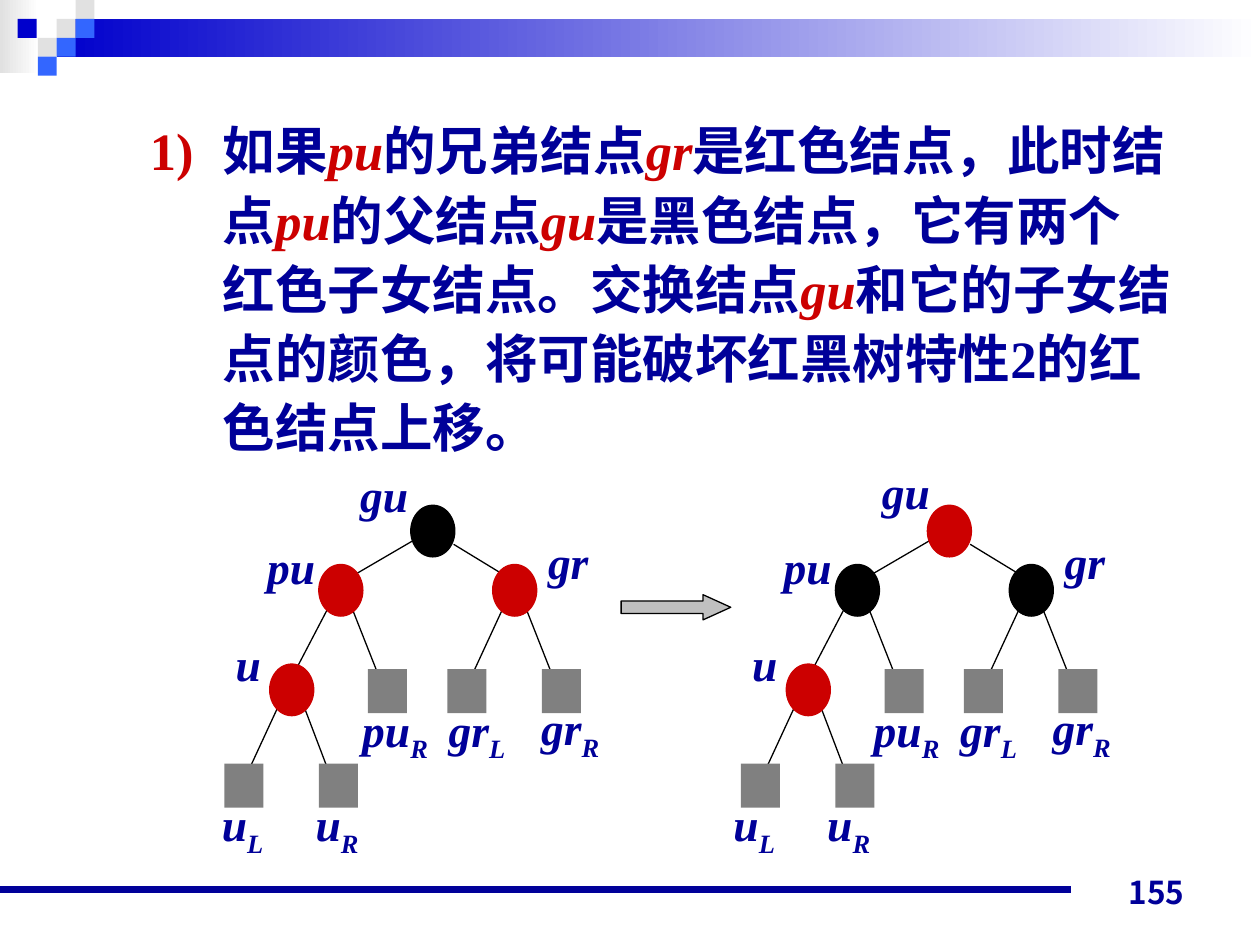
from lxml import etree
from pptx import Presentation
from pptx.dml.color import RGBColor
from pptx.enum.shapes import MSO_CONNECTOR, MSO_SHAPE
from pptx.enum.text import MSO_ANCHOR, PP_ALIGN
from pptx.oxml.ns import qn
from pptx.util import Pt

PX = 9144  # one px is a hundredth of an inch

NAVY = RGBColor(0x00, 0x00, 0x99)
BLUE = RGBColor(0x00, 0x00, 0xCC)
SKY = RGBColor(0x33, 0x66, 0xFF)
PALE = RGBColor(0xE1, 0xE1, 0xE1)
RED = RGBColor(0xCC, 0x00, 0x00)
BLACK = RGBColor(0x00, 0x00, 0x00)
WHITE = RGBColor(0xFF, 0xFF, 0xFF)
GRAY = RGBColor(0x80, 0x80, 0x80)
SILVER = RGBColor(0xC0, 0xC0, 0xC0)

SERIF = "Times New Roman"
SANS = "Noto Sans CJK JP"

RULE_TEXT = [
    ("1)\t", RED, False),
    ("如果", NAVY, False),
    ("pu", RED, True),
    ("的兄弟结点", NAVY, False),
    ("gr", RED, True),
    ("是红色结点，此时结点", NAVY, False),
    ("pu", RED, True),
    ("的父结点", NAVY, False),
    ("gu", RED, True),
    ("是黑色结点，它有两个红色子女结点。交换结点", NAVY, False),
    ("gu", RED, True),
    ("和它的子女结点的颜色，将可能破坏红黑树特性2的红色结点上移。", NAVY, False),
]

# Tree parts, relative to the corner of the tree
NODES = {"gu": (169, 38), "pu": (96, 85), "gr": (234, 85), "u": (57, 164)}
LEAVES = [(273, 168), (198, 168), (135, 168), (96, 243), (21, 243)]
EDGES = [
    (111, 105, 76, 172), (115, 101, 143, 172),
    (249, 105, 218, 172), (253, 101, 281, 172),
    (171, 66, 111, 101), (203, 69, 249, 97),
    (72, 180, 41, 247), (76, 176, 103, 247),
]
NODE_LABELS = {"pu": (45, 60, 58), "gu": (119, 3, 58), "u": (20, 137, 40), "gr": (268, 56, 52)}
LEAF_LABELS = [
    ("u", "L", 0, 264, 71), ("u", "R", 75, 264, 71),
    ("pu", "R", 115, 189, 83), ("gr", "L", 186, 189, 71), ("gr", "R", 260, 188, 71),
]


def add_block(page, kind, left, top, width, height, color=None, outline=None):
    block = page.shapes.add_shape(kind, left * PX, top * PX, width * PX, height * PX)
    block.shadow.inherit = False
    if color is not None:
        block.fill.solid()
        block.fill.fore_color.rgb = color
    if outline is None:
        block.line.fill.background()
    else:
        block.line.color.rgb = outline
        block.line.width = Pt(0.75)
    return block


def add_fade(page, left, top, width, height, color):
    """Add a bar that fades from color to white, left to right."""
    bar = add_block(page, MSO_SHAPE.RECTANGLE, left, top, width, height)
    bar.fill.gradient()
    bar.fill.gradient_angle = 0
    for stop, shade in zip(bar.fill.gradient_stops, (color, WHITE)):
        stop.color.rgb = shade


def add_line(page, x1, y1, x2, y2, color, weight):
    line = page.shapes.add_connector(MSO_CONNECTOR.STRAIGHT, x1 * PX, y1 * PX, x2 * PX, y2 * PX)
    line.line.color.rgb = color
    line.line.width = Pt(weight)
    etree.SubElement(line._element.spPr, qn("a:effectLst"))


def add_text_box(page, left, top, width, height, wrap=True):
    box = page.shapes.add_textbox(left * PX, top * PX, width * PX, height * PX)
    box.text_frame.word_wrap = wrap
    return box.text_frame


def add_span(para, text, size, color, italic=False, font=SERIF):
    span = para.add_run()
    span.text = text
    span.font.size = Pt(size)
    span.font.name = font
    span.font.bold = True
    span.font.italic = italic
    span.font.color.rgb = color
    east_asian = etree.SubElement(span.font._element, qn("a:ea"))
    east_asian.set("typeface", SANS)
    return span


def add_label(page, left, top, width, name, side=None):
    """Add a node name, with a subscript side for a leaf."""
    height = 60 if side else 54
    para = add_text_box(page, left, top, width, height, wrap=bool(side)).paragraphs[0]
    para.alignment = PP_ALIGN.CENTER
    add_span(para, name, 26, NAVY, italic=True)
    if side:
        subscript = add_span(para, side, 26, NAVY, italic=True)
        subscript.font._element.set("baseline", "-25000")


def add_header(page, left, top):
    add_fade(page, left, top, 31, 58, PALE)
    add_fade(page, left + 45, top + 15, 955, 30, BLUE)
    squares = [
        (45, 15, PALE), (60, 0, PALE), (60, 15, SKY), (30, 30, PALE),
        (14, 15, BLUE), (45, 30, SKY), (30, 45, SKY),
    ]
    for x, y, color in squares:
        add_block(page, MSO_SHAPE.RECTANGLE, left + x, top + y, 15, 15, color)


def add_footer(page, left, top):
    add_line(page, left, top + 28, left + 850, top + 28, NAVY, 4.5)
    frame = add_text_box(page, left + 717, top, 233, 50)
    frame.vertical_anchor = MSO_ANCHOR.BOTTOM
    para = frame.paragraphs[0]
    para.alignment = PP_ALIGN.RIGHT
    add_span(para, "155", 18, NAVY, font=SANS)


def add_rule(page, left, top, width, height):
    """Add the numbered paragraph with a hanging indent."""
    para = add_text_box(page, left, top, width, height).paragraphs[0]
    para.line_spacing = Pt(39.6)
    properties = para._p.get_or_add_pPr()
    properties.set("marL", str(108 * PX))
    properties.set("indent", str(-58 * PX))
    for text, color, italic in RULE_TEXT:
        add_span(para, text, 30, color, italic)


def add_tree(page, left, top, colors, root_shift=(0, 0), leaf_shift=0):
    """Add one tree; the shifts move the root label and the leaf labels."""
    for x1, y1, x2, y2 in EDGES:
        add_line(page, left + x1, top + y1, left + x2, top + y2, BLACK, 0.75)
    for x, y in LEAVES:
        add_block(page, MSO_SHAPE.RECTANGLE, left + x, top + y, 31, 35, GRAY)
    for name, (x, y) in NODES.items():
        color = colors[name]
        add_block(page, MSO_SHAPE.OVAL, left + x, top + y, 35, 41, color, color)
    for name, (x, y, width) in NODE_LABELS.items():
        shift_x, shift_y = root_shift if name == "gu" else (0, 0)
        add_label(page, left + x + shift_x, top + y + shift_y, width, name)
    for name, side, x, y, width in LEAF_LABELS:
        add_label(page, left + x + leaf_shift, top + y, width, name, side)


def add_arrow(page, left, top, width, height):
    arrow = add_block(page, MSO_SHAPE.RIGHT_ARROW, left, top, width, height, SILVER, BLACK)
    arrow.adjustments[0] = 0.5
    arrow.adjustments[1] = 1.1


def main():
    deck = Presentation()
    deck.slide_width, deck.slide_height = 1000 * PX, 750 * PX
    page = deck.slides.add_slide(deck.slide_layouts[6])
    add_header(page, 0, 0)
    add_footer(page, 0, 678)
    add_rule(page, 59, 84, 882, 290)
    add_tree(page, 157, 363, {"gu": BLACK, "pu": RED, "gr": RED, "u": RED})
    add_tree(page, 567, 363, {"gu": RED, "pu": BLACK, "gr": BLACK, "u": RED}, (4, -3), -4)
    add_arrow(page, 493, 472, 87, 20)
    deck.save("out.pptx")


if __name__ == "__main__":
    main()
